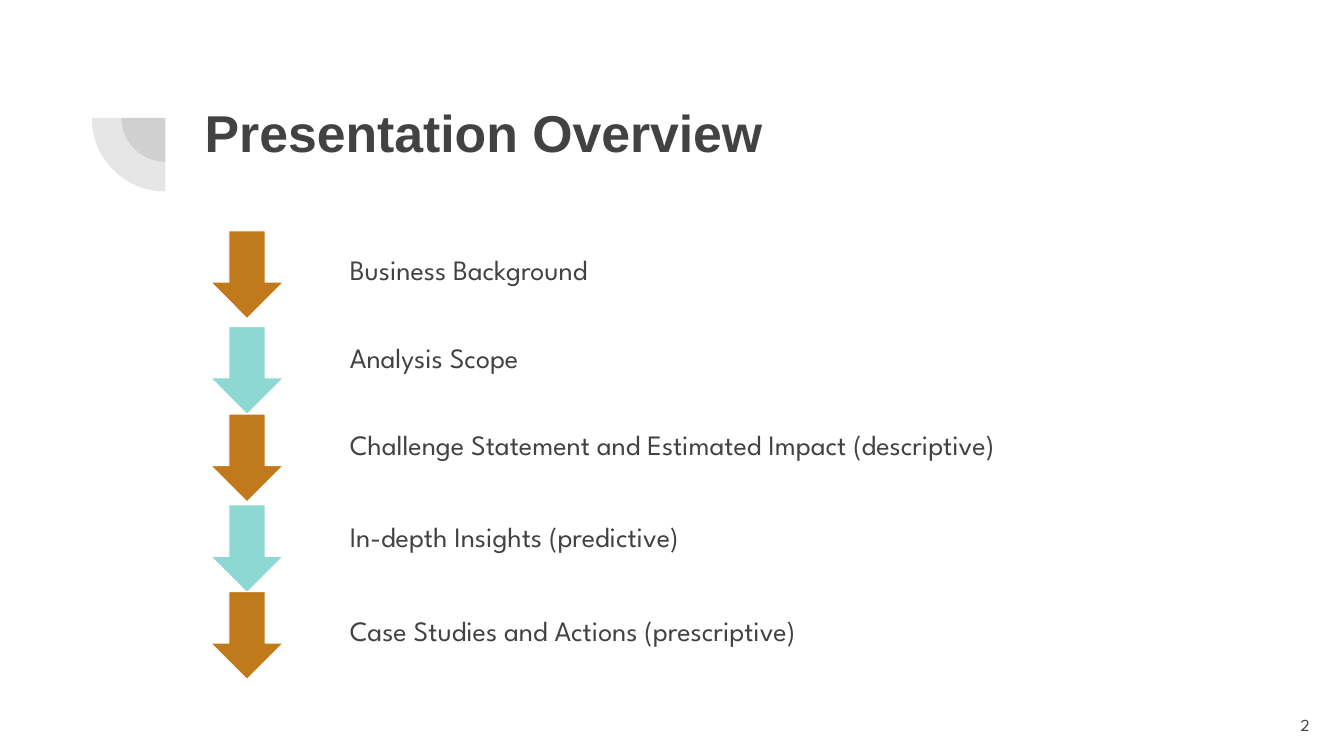
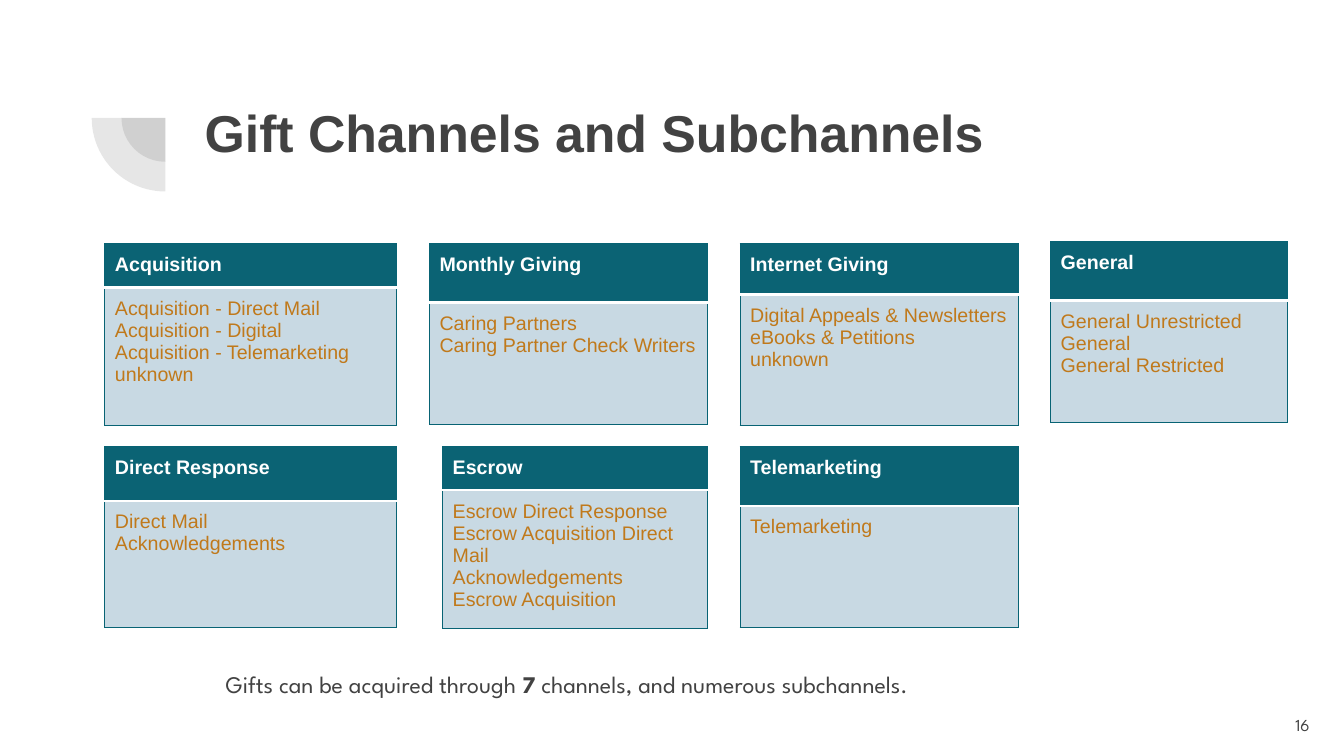
"""Build the overview and gift channel slides."""
from lxml import etree
from pptx import Presentation
from pptx.dml.color import RGBColor
from pptx.enum.shapes import MSO_SHAPE
from pptx.enum.text import MSO_ANCHOR, PP_ALIGN
from pptx.oxml.ns import qn
from pptx.util import Inches, Pt

PIE, DOWN_ARROW = MSO_SHAPE.PIE, MSO_SHAPE.DOWN_ARROW
TOP, MIDDLE = MSO_ANCHOR.TOP, MSO_ANCHOR.MIDDLE
LEFT, RIGHT = PP_ALIGN.LEFT, PP_ALIGN.RIGHT

COLORS = {
    "ink": "424242", "white": "FFFFFF", "orange": "C0791B", "aqua": "8DD8D3",
    "header": "0B6374", "border": "086374", "panel": "C8D9E3",
}
STYLES = {
    "title": {"name": "Arial", "size": Pt(37), "bold": True},
    "agenda": {"name": "League Spartan", "size": Pt(20), "bold": False},
    "note": {"name": "League Spartan", "size": Pt(17), "bold": False},
    "strong": {"name": "League Spartan", "size": Pt(17), "bold": True},
    "number": {"name": "League Spartan", "size": Pt(12), "bold": False},
    "channel": {"name": "Arial", "size": Pt(14), "bold": True},
    "subchannel": {"name": "Arial", "size": Pt(14), "bold": False},
}
PIE_CENTER = (1.64, 1.17)
PIE_SIZES = (0.87, 1.46)

AGENDA = [
    ("Business Background", 2.33, 2.29),
    ("Analysis Scope", 3.2, 3.24),
    ("Challenge Statement and Estimated Impact (descriptive)", 4.06, 4.11),
    ("In-depth Insights (predictive)", 4.97, 5.01),
    ("Case Studies and Actions (prescriptive)", 5.91, 5.87),
]
ARROW_COLORS = ("orange", "aqua")

CHANNELS = [
    ("Acquisition", (1.04, 2.42, 2.89), (0.43, 1.37),
     ["Acquisition - Direct Mail", "Acquisition - Digital",
      "Acquisition - Telemarketing", "unknown"]),
    ("Monthly Giving", (4.26, 2.42, 2.76), (0.58, 1.21),
     ["Caring Partners", "Caring Partner Check Writers"]),
    ("Internet Giving", (7.34, 2.42, 2.76), (0.5, 1.3),
     ["Digital Appeals & Newsletters", "eBooks & Petitions", "unknown"]),
    ("General", (10.42, 2.4, 2.35), (0.58, 1.21),
     ["General Unrestricted", "General", "General Restricted"]),
    ("Direct Response", (1.04, 4.43, 2.89), (0.54, 1.26),
     ["Direct Mail", "Acknowledgements"]),
    ("Escrow", (4.39, 4.43, 2.63), (0.43, 1.29),
     ["Escrow Direct Response", "Escrow Acquisition Direct Mail",
      "Acknowledgements", "Escrow Acquisition"]),
    ("Telemarketing", (7.34, 4.43, 2.76), (0.59, 1.21), ["Telemarketing"]),
]
NOTE = [("Gifts can be acquired through ", "note"), ("7", "strong"),
        (" channels, and numerous subchannels.", "note")]


def rgb(color):
    return RGBColor.from_string(COLORS[color])


def add_run(paragraph, text, style, color="ink"):
    run = paragraph.add_run()
    run.text = text
    for name, value in STYLES[style].items():
        setattr(run.font, name, value)
    run.font.color.rgb = rgb(color)


def add_text(slide, box, runs, margins=(0.13, 0.13), anchor=TOP, **paragraph_format):
    frame = slide.shapes.add_textbox(*map(Inches, box)).text_frame
    horizontal, vertical = map(Inches, margins)
    settings = {
        "word_wrap": True, "vertical_anchor": anchor,
        "margin_left": horizontal, "margin_right": horizontal,
        "margin_top": vertical, "margin_bottom": vertical,
    }
    for name, value in settings.items():
        setattr(frame, name, value)
    paragraph = frame.paragraphs[0]
    for name, value in paragraph_format.items():
        setattr(paragraph, name, value)
    for text, style in runs:
        add_run(paragraph, text, style)


def add_filled(slide, kind, box, color):
    shape = slide.shapes.add_shape(kind, *map(Inches, box))
    shape.shadow.inherit = False
    shape.fill.solid()
    shape.fill.fore_color.rgb = rgb(color)
    return shape


def add_quarter(slide, size):
    center_x, center_y = PIE_CENTER
    box = (center_x - size / 2, center_y - size / 2, size, size)
    quarter = add_filled(slide, PIE, box, "ink")
    quarter.adjustments[0] = 54
    quarter.adjustments[1] = 108
    quarter.line.fill.background()
    color = quarter.fill._xPr.find(qn("a:solidFill"))[0]
    etree.SubElement(color, qn("a:alpha"), val="13000")


def add_slide(presentation, title, number):
    slide = presentation.slides.add_slide(presentation.slide_layouts[6])
    for size in PIE_SIZES:
        add_quarter(slide, size)
    add_text(slide, (1.9, 0.87, 10.25, 1.46), [(title, "title")])
    add_text(slide, (12.32, 6.91, 0.8, 0.57), [(str(number), "number")],
             anchor=MIDDLE, alignment=RIGHT)
    return slide


def add_border(cell, side, color, width):
    line = etree.SubElement(cell._tc.get_or_add_tcPr(), qn(f"a:ln{side}"),
                            w=str(Pt(width)))
    fill = etree.SubElement(line, qn("a:solidFill"))
    etree.SubElement(fill, qn("a:srgbClr"), val=COLORS[color])


def fill_cell(cell, lines, style, color, fill, divider):
    for side in "LRTB":
        edge = ("white", 2) if side == divider else ("border", 0.75)
        add_border(cell, side, *edge)
    cell.fill.solid()
    cell.fill.fore_color.rgb = rgb(fill)
    for side in ("left", "right", "top", "bottom"):
        setattr(cell, f"margin_{side}", Inches(0.1))
    frame = cell.text_frame
    for index, text in enumerate(lines):
        paragraph = frame.add_paragraph() if index else frame.paragraphs[0]
        paragraph.alignment = LEFT
        add_run(paragraph, text, style, color)


def add_channel(slide, name, place, heights, subchannels):
    table = slide.shapes.add_table(2, 1, *map(Inches, (*place, sum(heights)))).table
    table.first_row = table.horz_banding = False
    for row, height in zip(table.rows, heights):
        row.height = Inches(height)
    fill_cell(table.cell(0, 0), [name], "channel", "white", "header", "B")
    fill_cell(table.cell(1, 0), subchannels, "subchannel", "orange", "panel", "T")


def build_overview(presentation):
    slide = add_slide(presentation, "Presentation Overview", 2)
    for index, (topic, text_top, arrow_top) in enumerate(AGENDA):
        add_text(slide, (3.34, text_top, 7.77, 0.66), [(topic, "agenda")],
                 line_spacing=1.15, space_after=Pt(16))
        arrow = add_filled(slide, DOWN_ARROW, (2.09, arrow_top, 0.72, 0.87),
                           ARROW_COLORS[index % 2])
        arrow.line.color.rgb = rgb("white")
        arrow.line.width = Pt(0.75)


def build_channels(presentation):
    slide = add_slide(presentation, "Gift Channels and Subchannels", 16)
    for channel in CHANNELS:
        add_channel(slide, *channel)
    add_text(slide, (2.14, 6.58, 10.53, 0.42), NOTE, margins=(0.1, 0.05),
             line_spacing=1.05)


def main():
    presentation = Presentation()
    presentation.slide_width = Inches(13.33)
    presentation.slide_height = Inches(7.5)
    build_overview(presentation)
    build_channels(presentation)
    presentation.save("out.pptx")


if __name__ == "__main__":
    main()
